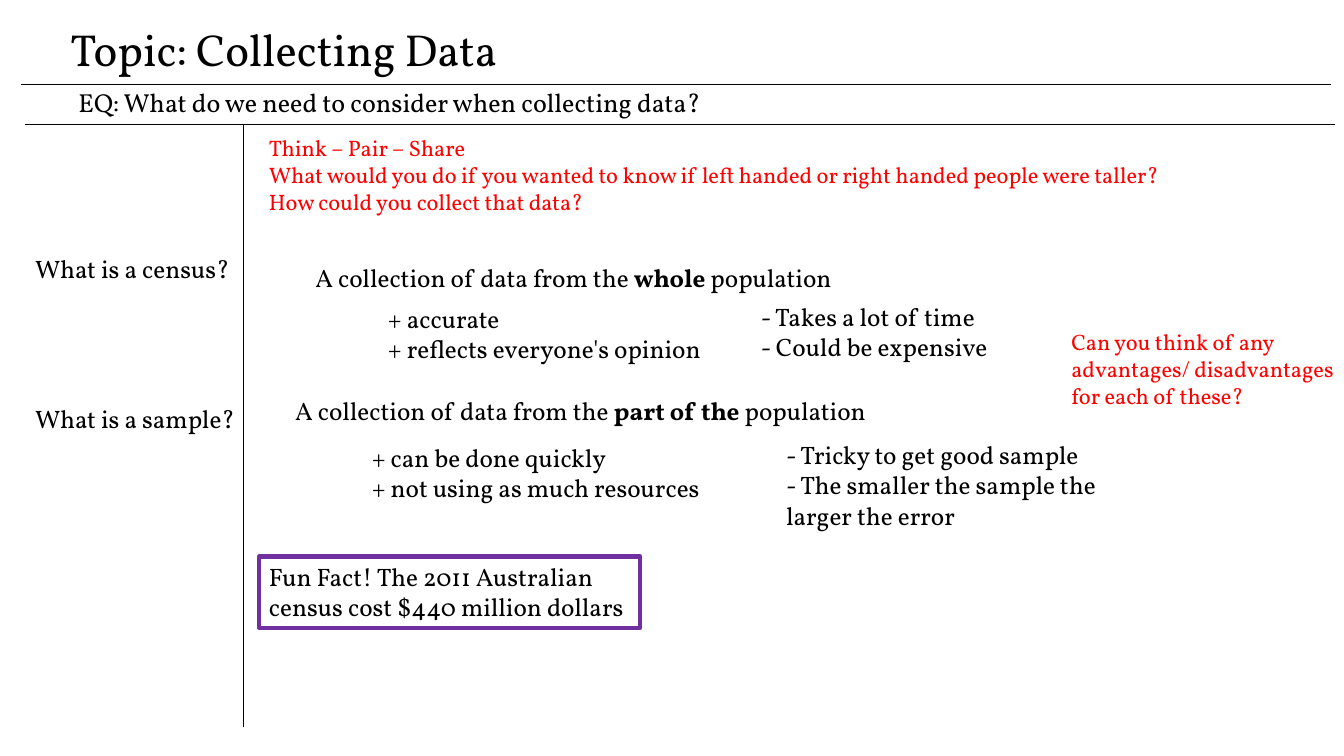
from pptx import Presentation
from pptx.dml.color import RGBColor
from pptx.enum.shapes import MSO_CONNECTOR, MSO_SHAPE
from pptx.enum.text import MSO_ANCHOR, PP_ALIGN
from pptx.oxml.ns import qn
from pptx.util import Pt
from lxml import etree

STRAIGHT, RECT = MSO_CONNECTOR.STRAIGHT, MSO_SHAPE.RECTANGLE
TOP, MIDDLE, BOTTOM = MSO_ANCHOR.TOP, MSO_ANCHOR.MIDDLE, MSO_ANCHOR.BOTTOM
LEFT = PP_ALIGN.LEFT
FONT = "Vollkorn"
BLACK, RED, PURPLE = "000000", "FF0000", "7030A0"

TITLE = ["Topic: Collecting Data"]
QUESTION = ["EQ: What do we need to consider when collecting data?"]
FUN_FACT = ["Fun Fact! The 2011 Australian census cost $440 million dollars"]

PROMPTS = [
    ((185.04, 92.16, 676.08, 65.52), [
        "Think – Pair – Share",
        "What would you do if you wanted to know if left handed or right handed "
        "people were taller? How could you collect that data?"]),
    ((758.16, 231.12, 207.36, 65.52), [
        "Can you think of any advantages/ disadvantages for each of these?"]),
]
HEADINGS = [
    ((18, 180, 158.4, 62.64), ["What is a census?"]),
    ((18, 287.28, 158.4, 62.64), ["What is a sample?"]),
    ((218.16, 186.48, 487.44, 62.64),
     ["A collection of data from the **whole** population"]),
    ((203.76, 281.52, 487.44, 62.64),
     ["A collection of data from the **part of the** population"]),
]
PROS_CONS = [
    ((270, 213.12, 244.08, 51.12), ["+ accurate", "+ reflects everyone's opinion"]),
    ((536.4, 211.68, 244.08, 51.12), ["- Takes a lot of time", "- Could be expensive"]),
    ((258.48, 312.48, 283.68, 51.12),
     ["+ can be done quickly", "+ not using as much resources"]),
    ((554.4, 310.32, 244.08, 72.72),
     ["- Tricky to get good sample", "- The smaller the sample the larger the error"]),
]
RULES = [
    (15.12, 60.48, 950.4, 60.48),
    (18, 88.56, 953.28, 88.56),
    (173.52, 88.56, 173.52, 519.12),
]


def rgb(color):
    return RGBColor.from_string(color)


def write(sp, lines, size=18, color=BLACK, spacing=1.0, anchor=TOP):
    tf = sp.text_frame
    tf.word_wrap = True
    tf.vertical_anchor = anchor
    for i, line in enumerate(lines):
        p = tf.paragraphs[0] if i == 0 else tf.add_paragraph()
        p.alignment = LEFT
        p.line_spacing = spacing
        p.font.name = FONT
        p.font.size = Pt(size)
        p.font.color.rgb = rgb(color)
        for j, part in enumerate(line.split("**")):
            r = p.add_run()
            r.text = part
            if j % 2:
                r.font.bold = True


def add_text(s, box, lines, **style):
    write(s.shapes.add_textbox(*map(Pt, box)), lines, **style)


def add_rule(s, ends):
    line = s.shapes.add_connector(STRAIGHT, *map(Pt, ends))
    line.line.color.rgb = rgb(BLACK)
    line.line.width = Pt(0.5)
    etree.SubElement(line._element.spPr, qn("a:effectLst"))


def main():
    prs = Presentation()
    prs.slide_width, prs.slide_height = Pt(960), Pt(540)
    s = prs.slides.add_slide(prs.slide_layouts[6])

    add_text(s, (43.2, 15.12, 764.64, 43.2), TITLE, size=32, spacing=0.9, anchor=BOTTOM)
    add_text(s, (48.96, 63.36, 748.08, 25.2), QUESTION,
             size=18.6, spacing=0.7, anchor=MIDDLE)
    for ends in RULES:
        add_rule(s, ends)
    for box, lines in HEADINGS:
        add_text(s, box, lines, spacing=0.9)
    for box, lines in PROMPTS:
        add_text(s, box, lines, size=16, color=RED)
    for box, lines in PROS_CONS:
        add_text(s, box, lines)

    sp = s.shapes.add_shape(RECT, *map(Pt, (185.04, 397.44, 272.16, 51.12)))
    sp.shadow.inherit = False
    sp.fill.background()
    sp.line.color.rgb = rgb(PURPLE)
    sp.line.width = Pt(3)
    write(sp, FUN_FACT)

    prs.save("out.pptx")


if __name__ == "__main__":
    main()
